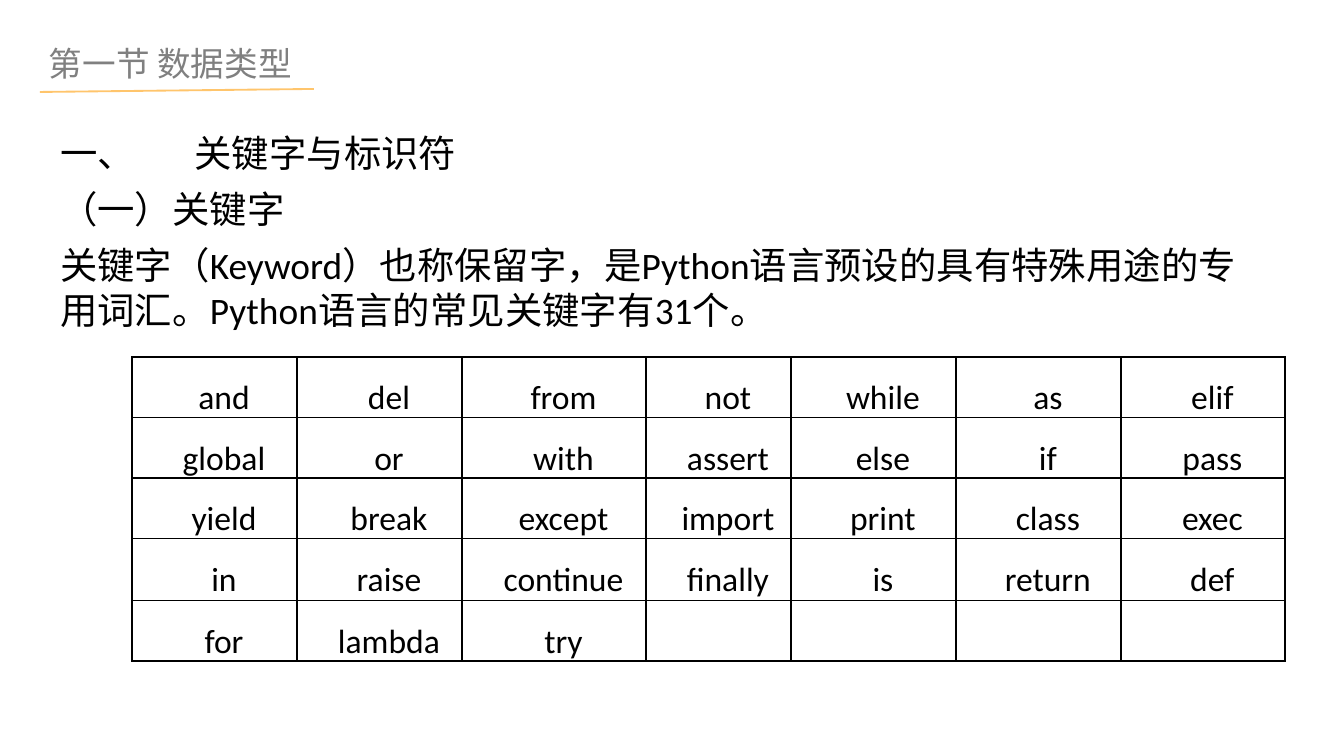
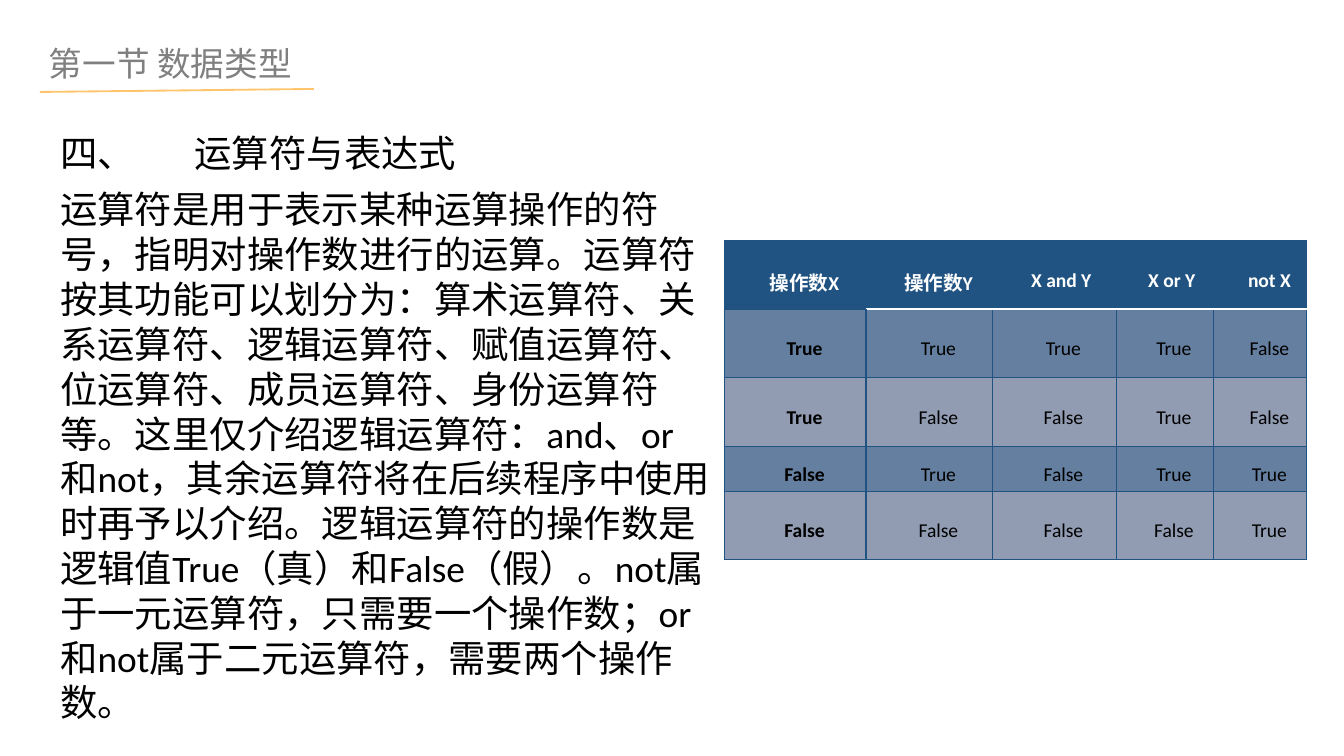
from dataclasses import dataclass

from lxml import etree
from pptx import Presentation
from pptx.dml.color import RGBColor
from pptx.enum.lang import MSO_LANGUAGE_ID
from pptx.enum.shapes import MSO_CONNECTOR
from pptx.enum.text import MSO_ANCHOR, MSO_AUTO_SIZE, PP_ALIGN
from pptx.oxml.ns import qn
from pptx.util import Pt

LEFT, CENTER = PP_ALIGN.LEFT, PP_ALIGN.CENTER
TOP, MIDDLE = MSO_ANCHOR.TOP, MSO_ANCHOR.MIDDLE
GROW = MSO_AUTO_SIZE.SHAPE_TO_FIT_TEXT
STRAIGHT = MSO_CONNECTOR.STRAIGHT
CHINESE = MSO_LANGUAGE_ID.SIMPLIFIED_CHINESE
PX = 9144000 / 1344


@dataclass(frozen=True)
class Theme:
    latin: str = "Calibri"
    han: str = "Noto Sans CJK SC"
    black: str = "000000"
    white: str = "FFFFFF"
    gray: str = "808080"
    gold: str = "FFC56C"
    navy: str = "205381"
    steel: str = "647F9F"
    mist: str = "919CB3"
    head: float = 18
    body: float = 20
    word: float = 18
    truth: float = 10.5


theme = Theme()


def px(*sizes):
    return [round(size * PX) for size in sizes]


def style(para, size, color, name=theme.latin, bold=False):
    for run in para.runs:
        font = run.font
        font.name, font.size, font.bold = name, Pt(size), bold
        font.color.rgb = RGBColor.from_string(color)
        font.language_id = CHINESE


words = """and del from not while as elif
global or with assert else if pass
yield break except import print class exec
in raise continue finally is return def
for lambda try"""

pages = [
    dict(
        box=(47, 124, 1227, 274),
        text=[
            "一、\t关键字与标识符",
            "（一）关键字",
            "关键字（Keyword）也称保留字，是Python语言预设的具有特殊用途的专用词汇。"
            "Python语言的常见关键字有31个。",
        ],
        spot=(132, 357),
        cols=[165, 165, 184, 145, 165, 165, 164],
        rows=[51, 51, 51, 62, 54],
        data=[line.split() for line in words.splitlines()],
        logic=False,
    ),
    dict(
        box=(47, 124, 677, 567),
        text=[
            "四、\t运算符与表达式",
            "运算符是用于表示某种运算操作的符号，指明对操作数进行的运算。"
            "运算符按其功能可以划分为：算术运算符、关系运算符、逻辑运算符、"
            "赋值运算符、位运算符、成员运算符、身份运算符等。"
            "这里仅介绍逻辑运算符：and、or和not，其余运算符将在后续程序中使用时再予以介绍。"
            "逻辑运算符的操作数是逻辑值True（真）和False（假）。"
            "not属于一元运算符，只需要一个操作数；or和not属于二元运算符，需要两个操作数。",
        ],
        spot=(724, 240),
        cols=[142, 126, 124, 97, 94],
        rows=[69, 68, 69, 45, 68],
        data=[["操作数X", "操作数Y", "X and Y ", "X or Y ", "not X"]]
        + [
            [str(v) for v in (x, y, x and y, x or y, not x)]
            for x in (True, False)
            for y in (True, False)
        ],
        logic=True,
    ),
]

deck = Presentation()
deck.slide_width, deck.slide_height = px(1344, 756)

for page in pages:
    slide = deck.slides.add_slide(deck.slide_layouts[5])

    title = slide.shapes.title
    title.left, title.top, title.width, title.height = px(39, 38, 274, 51)
    frame = title.text_frame
    frame.text = "第一节 数据类型"
    frame.word_wrap, frame.auto_size = False, GROW
    frame.vertical_anchor = TOP
    frame.margin_left, frame.margin_right = px(10, 12)
    frame.margin_top, frame.margin_bottom = px(5, 5)
    para = frame.paragraphs[0]
    para.alignment = LEFT
    style(para, theme.head, theme.gray, theme.han)
    props = para.runs[0].font._element
    etree.SubElement(props, qn("a:ea")).set("typeface", theme.han)

    rule = slide.shapes.add_connector(STRAIGHT, *px(40, 92, 314, 89))
    rule.line.color.rgb = RGBColor.from_string(theme.gold)
    rule.line.width = Pt(1)
    etree.SubElement(rule._element.spPr, qn("a:effectLst"))

    frame = slide.shapes.add_textbox(*px(*page["box"])).text_frame
    frame.word_wrap, frame.auto_size = True, GROW
    for at, text in enumerate(page["text"]):
        para = frame.add_paragraph() if at else frame.paragraphs[0]
        para.text = text
        para.space_before = Pt(6)
        para._p.get_or_add_pPr().set("hangingPunct", "0")
        style(para, theme.body, theme.black)

    cols, rows, data, logic = (page[key] for key in ("cols", "rows", "data", "logic"))
    place = px(*page["spot"], sum(cols), sum(rows))
    table = slide.shapes.add_table(len(rows), len(cols), *place).table
    table.first_row = table.horz_banding = False
    for col, width in zip(table.columns, px(*cols)):
        col.width = width
    for row, height in zip(table.rows, px(*rows)):
        row.height = height

    for r in range(len(rows)):
        for c in range(len(cols)):
            cell = table.cell(r, c)
            cell.margin_left, cell.margin_right = px(9, 9)
            cell.margin_top = cell.margin_bottom = 0
            cell.vertical_anchor = MIDDLE if logic else TOP
            para = cell.text_frame.paragraphs[0]
            para.text = data[r][c] if c < len(data[r]) else ""
            para.alignment, para.line_spacing = CENTER, 1.5
            para._p.get_or_add_pPr().set("indent", str(px(19)[0]))
            size = theme.truth if logic else theme.word
            color = theme.white if logic and r == 0 else theme.black
            style(para, size, color, bold=logic and (r == 0 or c == 0))
            if not para.runs:
                para.font.size = Pt(size)

            for side in "LRTB":
                color, width = (theme.navy, 0.5) if logic else (theme.black, 1)
                if logic and c > 0 and (r, side) in ((0, "B"), (1, "T")):
                    color, width = theme.white, 1
                elif logic and r > 0 and (c, side) in ((0, "R"), (1, "L")):
                    width = 1
                edge = etree.SubElement(cell._tc.get_or_add_tcPr(), qn("a:ln" + side))
                edge.set("w", str(Pt(width)))
                fill = etree.SubElement(edge, qn("a:solidFill"))
                etree.SubElement(fill, qn("a:srgbClr")).set("val", color)

            if logic:
                shade = theme.navy if r == 0 else (theme.mist, theme.steel)[r % 2]
                cell.fill.solid()
                cell.fill.fore_color.rgb = RGBColor.from_string(shade)
            else:
                cell.fill.background()

deck.save("out.pptx")
